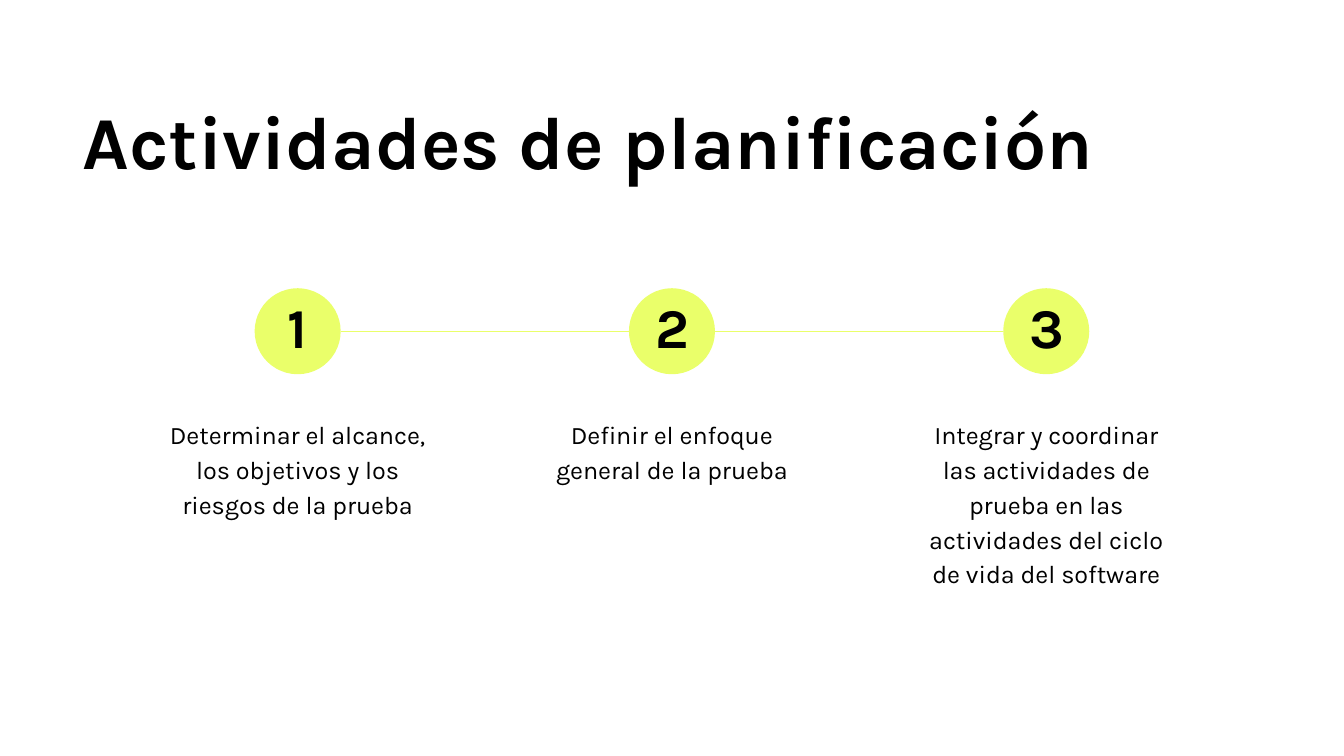
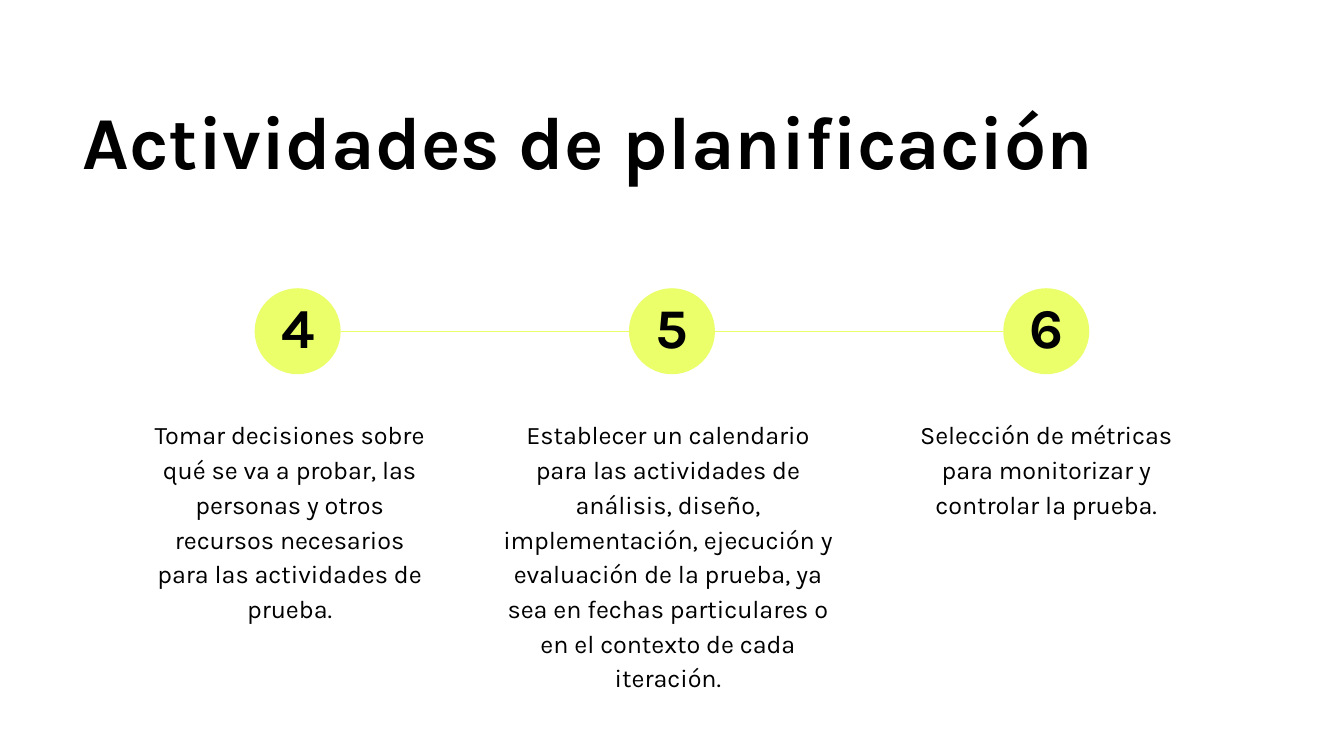
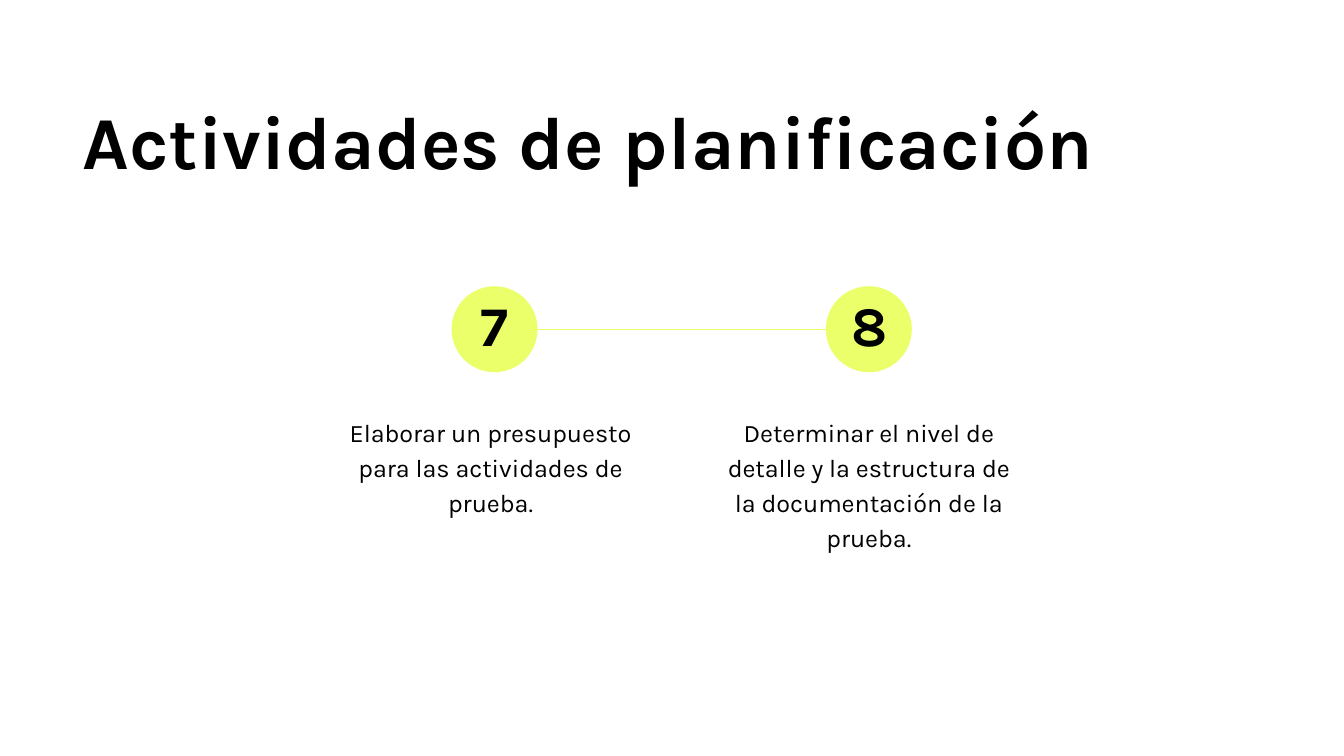
from dataclasses import dataclass

from lxml import etree
from pptx import Presentation
from pptx.dml.color import RGBColor
from pptx.enum import shapes, text
from pptx.oxml.ns import qn
from pptx.util import Inches, Pt

WIDE = Inches(10)
HIGH = WIDE * 9 // 16
CELL = WIDE / 100
FONT = "Karla"
HUES = {"ink": "000000", "lime": "EAFF6A", "page": "FFFFFF"}
TITLE = "Actividades de planificación"
GAP = 27.85
DISC = 6.4


@dataclass(frozen=True)
class Box:
    left: float
    top: float
    wide: float
    tall: float

    def emu(self) -> tuple[int, ...]:
        return tuple(cells(n) for n in (self.left, self.top, self.wide, self.tall))


@dataclass(frozen=True)
class Style:
    size: float
    lead: float
    bold: bool = False
    align: text.PP_ALIGN = text.PP_ALIGN.CENTER


@dataclass(frozen=True)
class Step:
    words: str
    wide: float
    tall: float
    shift: float = 0


@dataclass(frozen=True)
class Page:
    first: int
    left: float
    mid: float
    steps: tuple[Step, ...]


HEAD = Style(40, 0.9, True, text.PP_ALIGN.LEFT)
DIGIT = Style(30, 0.9, True)
BODY = Style(13.5, 1.15)

PAGES = (
    Page(1, 22.15, 24.65, (
        Step("Determinar el alcance, los objetivos y los riesgos de la prueba", 21.3, 9.5),
        Step("Definir el enfoque general de la prueba", 21.3, 9.5),
        Step("Integrar y coordinar las actividades de prueba en las actividades "
             "del ciclo de vida del software", 21.3, 17.4),
    )),
    Page(4, 22.15, 24.65, (
        Step("Tomar decisiones sobre qué se va a probar, las personas y otros "
             "recursos necesarios para las actividades de prueba.", 23.3, 20, -0.6),
        Step("Establecer un calendario para las actividades de análisis, diseño, "
             "implementación, ejecución y evaluación de la prueba, ya sea en fechas "
             "particulares o en el contexto de cada iteración.", 26.8, 22.6, -0.3),
        Step("Selección de métricas para monitorizar y controlar la prueba.", 23.3, 9.5),
    )),
    Page(7, 36.8, 24.5, (
        Step("Elaborar un presupuesto para las actividades de prueba.", 26.8, 9.5, -0.3),
        Step("Determinar el nivel de detalle y la estructura de la documentación "
             "de la prueba.", 23.3, 12.1),
    )),
)


def cells(count: float) -> int:
    return round(count * CELL)


def hue(name: str) -> RGBColor:
    return RGBColor.from_string(HUES[name])


def write(shape, words: str, style: Style) -> None:
    frame = shape.text_frame
    frame.text = words
    frame.word_wrap = True
    frame.auto_size = text.MSO_AUTO_SIZE.SHAPE_TO_FIT_TEXT
    frame.vertical_anchor = text.MSO_ANCHOR.TOP
    frame.margin_left = frame.margin_right = Inches(0.1)
    frame.margin_top = frame.margin_bottom = Inches(0.1)
    para = frame.paragraphs[0]
    para.alignment = style.align
    para.line_spacing = style.lead
    font = para.font
    font.name, font.size, font.bold = FONT, Pt(style.size), style.bold
    font.color.rgb = hue("ink")


def label(slide, box: Box, words: str, style: Style) -> None:
    write(slide.shapes.add_textbox(*box.emu()), words, style)


def head(slide) -> None:
    shape = slide.shapes.title
    shape.left, shape.top, shape.width, shape.height = Box(5.15, 6.8, 89, 8.1).emu()
    write(shape, TITLE, HEAD)


def disc(slide, x: float, y: float) -> None:
    box = Box(x - DISC / 2, y - DISC / 2, DISC, DISC)
    shape = slide.shapes.add_shape(shapes.MSO_SHAPE.OVAL, *box.emu())
    shape.shadow.inherit = False
    shape.fill.solid()
    shape.fill.fore_color.rgb = hue("lime")
    shape.line.fill.background()


def link(slide, start: float, end: float, y: float) -> None:
    line = slide.shapes.add_connector(
        shapes.MSO_CONNECTOR.STRAIGHT, cells(start), cells(y), cells(end), cells(y))
    line.line.color.rgb = hue("lime")
    line.line.width = Pt(0.75)
    etree.SubElement(line._element.spPr, qn("a:effectLst"))


def draw(deck, page: Page) -> None:
    slide = deck.slides.add_slide(deck.slide_layouts[5])
    slide.background.fill.solid()
    slide.background.fill.fore_color.rgb = hue("page")
    head(slide)
    spots = [page.left + GAP * n for n in range(len(page.steps))]
    for x in spots:
        disc(slide, x, page.mid)
    for x, after in zip(spots, spots[1:]):
        link(slide, x + DISC / 2, after - DISC / 2, page.mid)
    for num, (x, step) in enumerate(zip(spots, page.steps), page.first):
        left = x + step.shift - step.wide / 2
        label(slide, Box(left, page.mid + 5.25, step.wide, step.tall), step.words, BODY)
        label(slide, Box(x - 2.25, page.mid - 3.3, 4.5, 6.6), str(num), DIGIT)


def main() -> None:
    deck = Presentation()
    deck.slide_width, deck.slide_height = WIDE, HIGH
    for page in PAGES:
        draw(deck, page)
    deck.save("out.pptx")


if __name__ == "__main__":
    main()
